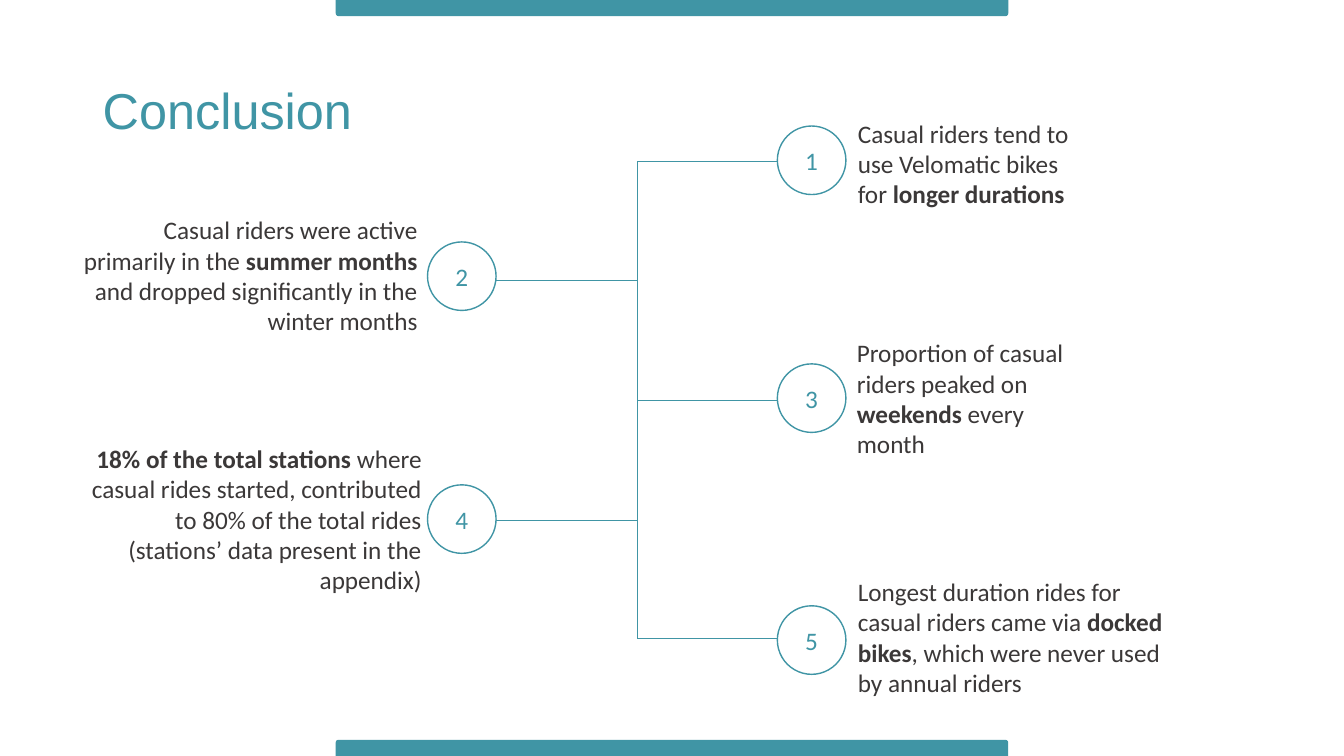
from dataclasses import dataclass
from lxml.etree import SubElement
from pptx import Presentation
from pptx.dml.color import RGBColor
from pptx.enum.shapes import MSO_CONNECTOR, MSO_SHAPE
from pptx.enum.text import MSO_ANCHOR, MSO_AUTO_SIZE, PP_ALIGN
from pptx.oxml.ns import qn
from pptx.util import Inches, Pt


@dataclass
class Theme:
    teal: RGBColor = RGBColor.from_string("4095A5")
    ink: RGBColor = RGBColor.from_string("3B3838")
    white: RGBColor = RGBColor.from_string("FFFFFF")
    head: Pt = Pt(36)
    body: Pt = Pt(18)
    rule: Pt = Pt(0.5)
    ring: Pt = Pt(1)


theme = Theme()

deck = Presentation()
deck.slide_width, deck.slide_height = Inches(13.33), Inches(7.5)
slide = deck.slides.add_slide(deck.slide_layouts[6])
slide.background.fill.solid()
slide.background.fill.fore_color.rgb = theme.white
shapes = slide.shapes


def add_run(para, text, size, color, font="Calibri", bold=False):
    run = para.add_run()
    run.text = text
    run.font.name, run.font.size, run.font.bold = font, size, bold
    run.font.color.rgb = color


def add_line(x1, y1, x2, y2):
    line = shapes.add_connector(MSO_CONNECTOR.STRAIGHT, Inches(x1), Inches(y1),
                                Inches(x2), Inches(y2))
    line.line.color.rgb = theme.teal
    line.line.width = theme.rule
    SubElement(line._element.spPr, qn("a:effectLst"))


# Title
title = shapes.add_textbox(Inches(0.92), Inches(0.4), Inches(11.5), Inches(1.45))
frame = title.text_frame
frame.word_wrap = True
frame.vertical_anchor = MSO_ANCHOR.MIDDLE
frame.paragraphs[0].line_spacing = 0.9
add_run(frame.paragraphs[0], "Conclusion", theme.head, theme.teal, "Arial")

# Bars at the top and bottom edges, rounded towards the middle
for top, turn in ((0, 180), (7.34, 0)):
    bar = shapes.add_shape(MSO_SHAPE.ROUND_2_SAME_RECTANGLE, Inches(3.33),
                           Inches(top), Inches(6.67), Inches(0.16))
    bar.rotation = turn
    bar.shadow.inherit = False
    bar.fill.solid()
    bar.fill.fore_color.rgb = theme.teal
    bar.line.fill.background()

# Trunk of the tree
TRUNK, DISC = 6.32, 0.68
add_line(TRUNK, 1.6, TRUNK, 6.33)

# Findings: branch y, disc left and top, text box, runs with their weight
LEFT, RIGHT = 4.24, 7.71
items = [
    (1.6, RIGHT, 1.25, (8.41, 1.12, 2.32, 1.01),
     [("Casual riders tend to use Velomatic bikes for ", False),
      ("longer durations", True)]),
    (2.78, LEFT, 2.4, (0.56, 2.08, 3.68, 1.31),
     [("Casual riders were active primarily in the ", False),
      ("summer months", True),
      (" and dropped significantly in the winter months", False)]),
    (3.97, RIGHT, 3.61, (8.4, 3.3, 2.32, 1.31),
     [("Proportion of casual riders peaked on ", False),
      ("weekends", True), (" every month", False)]),
    (5.16, LEFT, 4.81, (0.73, 4.35, 3.55, 1.62),
     [("18% of the total stations", True),
      (" where casual rides started, contributed to 80% of the total rides "
       "(stations’ data present in the appendix)", False)]),
    (6.33, RIGHT, 6.01, (8.41, 5.67, 3.45, 1.31),
     [("Longest duration rides for casual riders came via ", False),
      ("docked bikes", True),
      (", which were never used by annual riders", False)]),
]

for num, (y, x, top, area, runs) in enumerate(items, 1):
    # Branch
    if x == LEFT:
        add_line(LEFT + DISC, y, TRUNK, y)
    else:
        add_line(TRUNK, y, RIGHT, y)

    # Numbered disc
    disc = shapes.add_shape(MSO_SHAPE.OVAL, Inches(x), Inches(top),
                            Inches(DISC), Inches(DISC))
    disc.shadow.inherit = False
    disc.fill.background()
    disc.line.color.rgb = theme.teal
    disc.line.width = theme.ring
    frame = disc.text_frame
    frame.margin_left = frame.margin_right = 0
    frame.vertical_anchor = MSO_ANCHOR.MIDDLE
    para = frame.paragraphs[0]
    para.alignment = PP_ALIGN.CENTER
    add_run(para, str(num), theme.body, theme.teal)

    # Finding
    box = shapes.add_textbox(*[Inches(v) for v in area])
    frame = box.text_frame
    frame.word_wrap = True
    frame.auto_size = MSO_AUTO_SIZE.SHAPE_TO_FIT_TEXT
    para = frame.paragraphs[0]
    para.alignment = PP_ALIGN.RIGHT if x == LEFT else PP_ALIGN.LEFT
    for text, bold in runs:
        add_run(para, text, theme.body, theme.ink, bold=bold)

deck.save("out.pptx")
